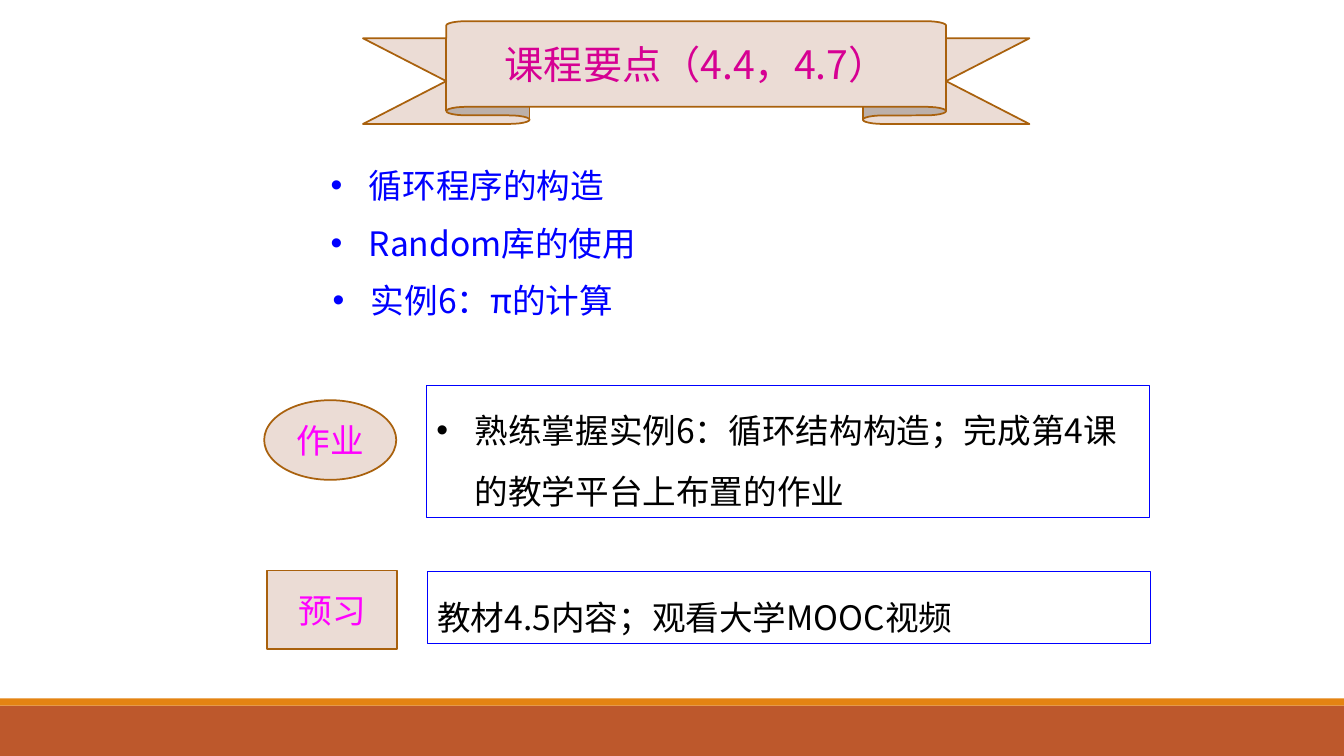
from lxml import etree
from pptx import Presentation
from pptx.dml.color import RGBColor
from pptx.enum.shapes import MSO_SHAPE
from pptx.enum.text import MSO_ANCHOR, PP_ALIGN
from pptx.oxml.ns import qn
from pptx.util import Inches, Pt

RECTANGLE = MSO_SHAPE.RECTANGLE
OVAL = MSO_SHAPE.OVAL
RIBBON = MSO_SHAPE.UP_RIBBON
TOP, MIDDLE = MSO_ANCHOR.TOP, MSO_ANCHOR.MIDDLE
LEFT, CENTER = PP_ALIGN.LEFT, PP_ALIGN.CENTER

FONT = "Noto Sans CJK SC"
COLORS = {
    "background": "FFFFFF",
    "footer": "BD582C",
    "footer_edge": "E48312",
    "label_fill": "EBDCD5",
    "label_line": "A9610D",
    "title": "D60093",
    "label": "FF00FF",
    "blue": "0000FF",
    "black": "000000",
}


def color(name):
    return RGBColor.from_string(COLORS[name])


def add_bullet(paragraph):
    """Give the paragraph a round bullet with a hanging indent."""
    properties = paragraph._p.get_or_add_pPr()
    properties.set("marL", str(Inches(0.38)))
    properties.set("indent", str(Inches(-0.38)))
    etree.SubElement(properties, qn("a:buFont")).set("typeface", "Arial")
    etree.SubElement(properties, qn("a:buChar")).set("char", "•")


def write_text(shape, text, size=24, text_color="black", align=LEFT,
               anchor=TOP, line_spacing=None, bullet=False):
    frame = shape.text_frame
    frame.word_wrap = True
    frame.vertical_anchor = anchor
    paragraph = frame.paragraphs[0]
    paragraph.alignment = align
    if line_spacing:
        paragraph.line_spacing = line_spacing
    if bullet:
        add_bullet(paragraph)
    run = paragraph.add_run()
    run.text = text
    run.font.size = Pt(size)
    run.font.name = FONT
    run.font.color.rgb = color(text_color)
    east_asian = etree.SubElement(run._r.get_or_add_rPr(), qn("a:ea"))
    east_asian.set("typeface", FONT)


def add_panel(slide, kind, box, fill=None, line=None, line_width=1.25):
    shape = slide.shapes.add_shape(kind, *map(Inches, box))
    shape.shadow.inherit = False
    if fill:
        shape.fill.solid()
        shape.fill.fore_color.rgb = color(fill)
    else:
        shape.fill.background()
    if line:
        shape.line.color.rgb = color(line)
        shape.line.width = Pt(line_width)
    else:
        shape.line.fill.background()
    return shape


def add_label(slide, kind, box, text, size=24, text_color="label"):
    shape = add_panel(slide, kind, box, "label_fill", "label_line")
    write_text(shape, text, size=size, text_color=text_color,
               align=CENTER, anchor=MIDDLE)
    return shape


def add_task(slide, box, text, bullet=False):
    shape = add_panel(slide, RECTANGLE, box, line="blue", line_width=0.75)
    write_text(shape, text, line_spacing=1.5, bullet=bullet)


def add_topic(slide, left, top, text):
    box = slide.shapes.add_textbox(
        Inches(left), Inches(top), Inches(8.03), Inches(0.71))
    write_text(box, text, text_color="blue", line_spacing=1.5, bullet=True)


def main():
    presentation = Presentation()
    presentation.slide_width = Inches(13.33)
    presentation.slide_height = Inches(7.5)
    slide = presentation.slides.add_slide(presentation.slide_layouts[6])
    slide.background.fill.solid()
    slide.background.fill.fore_color.rgb = color("background")

    add_panel(slide, RECTANGLE, (0, 7, 13.33, 0.5), "footer")
    add_panel(slide, RECTANGLE, (0, 6.93, 13.33, 0.07), "footer_edge")

    ribbon = add_label(slide, RIBBON, (3.6, 0.21, 6.61, 1.02),
                       "课程要点（4.4，4.7）", size=28, text_color="title")
    ribbon.adjustments[0] = 0.167
    ribbon.adjustments[1] = 0.75

    topics = [(3.18, "循环程序的构造"), (3.18, "Random库的使用"),
              (3.2, "实例6：π的计算")]
    for row, (left, text) in enumerate(topics):
        add_topic(slide, left, 1.39 + 0.57 * row, text)

    add_label(slide, OVAL, (2.62, 3.97, 1.31, 0.79), "作业")
    add_task(slide, (4.23, 3.82, 7.17, 1.31),
             "熟练掌握实例6：循环结构构造；完成第4课的教学平台上布置的作业",
             bullet=True)
    add_label(slide, RECTANGLE, (2.65, 5.66, 1.29, 0.78), "预习")
    add_task(slide, (4.24, 5.67, 7.17, 0.71), "教材4.5内容；观看大学MOOC视频")

    presentation.save("out.pptx")


if __name__ == "__main__":
    main()
